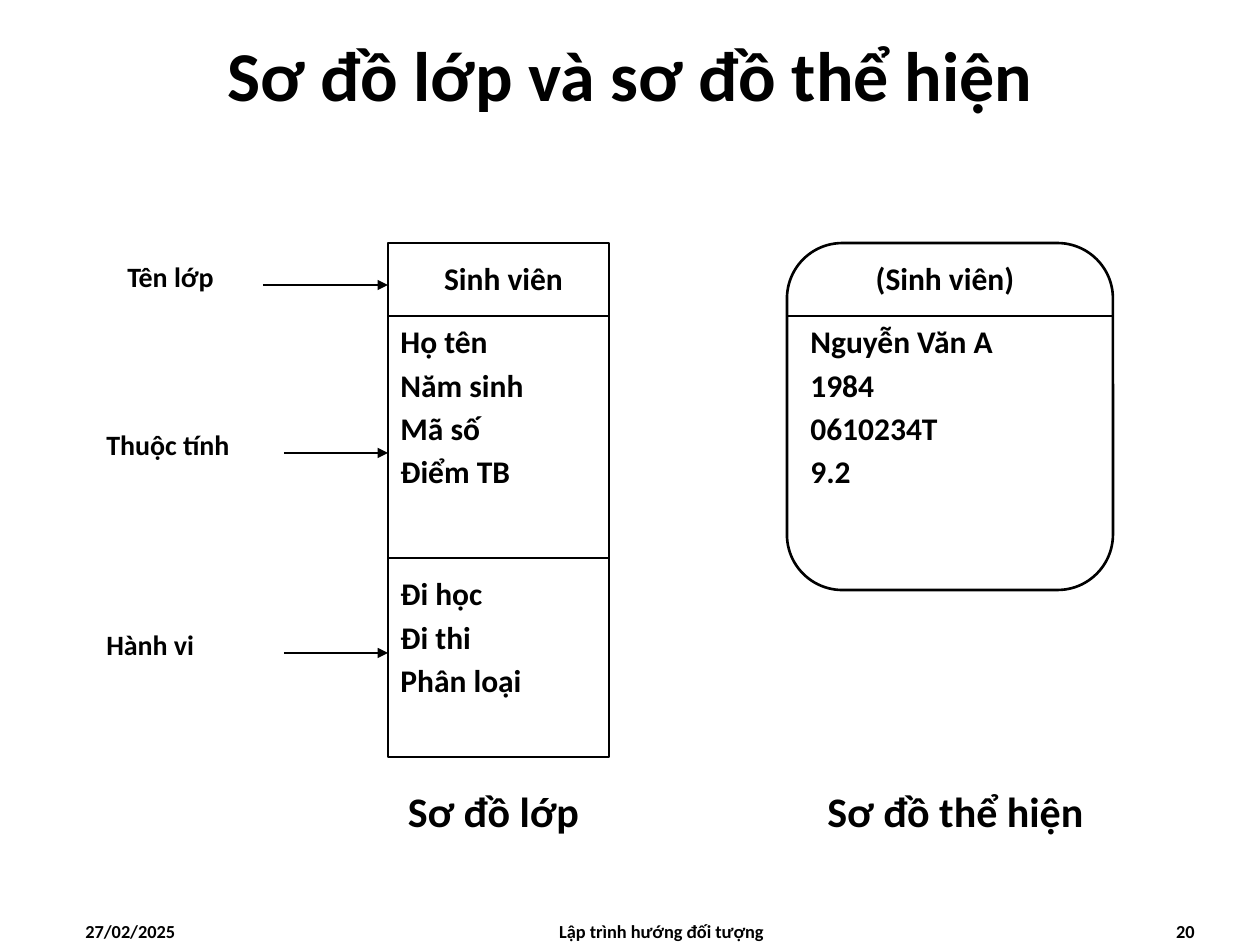
import pptx
import pptx.util
import pptx.dml.color
import pptx.enum.shapes
import pptx.enum.text
import pptx.oxml.ns
import lxml.etree

ALIGN = pptx.enum.text.PP_ALIGN
ANCHOR = pptx.enum.text.MSO_ANCHOR
SHAPE = pptx.enum.shapes.MSO_SHAPE

TITLE = "Sơ đồ lớp và sơ đồ thể hiện"
CLASS_ROWS = [
    {"label": "Tên lớp", "indent": 21, "lines": ["Sinh viên"],
     "height": 73, "pad": 10, "arrow": 285, "align": ALIGN.CENTER},
    {"label": "Thuộc tính", "indent": 0,
     "lines": ["Họ tên", "Năm sinh", "Mã số", "Điểm TB"],
     "height": 242, "pad": 0, "arrow": 453, "align": ALIGN.LEFT},
    {"label": "Hành vi", "indent": 0, "lines": ["Đi học", "Đi thi", "Phân loại"],
     "height": 199, "pad": 10, "arrow": 653, "align": ALIGN.LEFT},
]
INSTANCE_NAME = "(Sinh viên)"
INSTANCE_VALUES = ["Nguyễn Văn A", "1984", "0610234T", "9.2"]
CAPTIONS = [("Sơ đồ lớp", 336), ("Sơ đồ thể hiện", 798)]
FOOTERS = [
    ("27/02/2025", 73, 294, ALIGN.LEFT),
    ("Lập trình hướng đối tượng", 462, 399, ALIGN.CENTER),
    ("20", 914, 293, ALIGN.RIGHT),
]

THEME = {
    "ink": pptx.dml.color.RGBColor(0, 0, 0),
    "font": "Calibri",
    "title": 40, "caption": 24, "body": 18, "label": 16, "footer": 10.5,
    "line_gap": 3.2, "border": 1.5, "arrow": 0.75,
}

SLIDE_W, SLIDE_H = 1260, 945
DIAGRAM_TOP = 243
CLASS_X, CLASS_W, CLASS_TEXT_W = 388, 221, 231
INSTANCE_X, INSTANCE_W, INSTANCE_H = 787, 326, 347
INSTANCE_TEXT_X = 798
LABEL_X, LABEL_W, LABEL_RISE = 94, 190, 32
CAPTION_Y, CAPTION_W = 779, 315
FOOTER_H = 31


def px(length):
    return pptx.util.Emu(round(length * 914400 / 126))


def apply(target, values):
    for key, value in values.items():
        setattr(target, key, value)


def write(frame, lines, size, align=ALIGN.LEFT, anchor=ANCHOR.TOP):
    apply(frame, {"word_wrap": True, "vertical_anchor": anchor})
    for index, line in enumerate(lines):
        paragraph = frame.paragraphs[0] if index == 0 else frame.add_paragraph()
        gap = pptx.util.Pt(THEME["line_gap"] if index else 0)
        apply(paragraph, {"alignment": align, "space_before": gap})
        run = paragraph.add_run()
        run.text = line
        apply(run.font, {"name": THEME["font"], "size": pptx.util.Pt(THEME[size]), "bold": True})
        run.font.color.rgb = THEME["ink"]


def add_text(slide, lines, box, size, align=ALIGN.LEFT):
    write(slide.shapes.add_textbox(*map(px, box)).text_frame, lines, size, align)


def ink_line(line, width):
    line.color.rgb = THEME["ink"]
    line.width = pptx.util.Pt(THEME[width])


def add_frame(slide, kind, box):
    frame = slide.shapes.add_shape(kind, *map(px, box))
    frame.shadow.inherit = False
    frame.fill.background()
    ink_line(frame.line, "border")
    return frame


def add_line(slide, start, end, width, arrow=False):
    line = slide.shapes.add_connector(
        pptx.enum.shapes.MSO_CONNECTOR.STRAIGHT, *map(px, start + end))
    ink_line(line.line, width)
    qn = pptx.oxml.ns.qn
    properties = line._element.spPr
    if arrow:
        lxml.etree.SubElement(properties.find(qn("a:ln")), qn("a:tailEnd"), type="triangle")
    lxml.etree.SubElement(properties, qn("a:effectLst"))


def draw_class(slide):
    top = DIAGRAM_TOP
    for row in CLASS_ROWS:
        height, arrow_y = row["height"], row["arrow"]
        label_x = LABEL_X + row["indent"]
        add_frame(slide, SHAPE.RECTANGLE, (CLASS_X, top, CLASS_W, height))
        add_text(slide, row["lines"],
                 (CLASS_X, top + row["pad"], CLASS_TEXT_W, height - row["pad"]),
                 "body", row["align"])
        add_text(slide, [row["label"]], (label_x, arrow_y - LABEL_RISE, LABEL_W, 47), "label")
        add_line(slide, (LABEL_X + LABEL_W - row["indent"], arrow_y),
                 (CLASS_X, arrow_y), "arrow", arrow=True)
        top += height


def draw_instance(slide):
    header = CLASS_ROWS[0]
    divider = DIAGRAM_TOP + header["height"]
    right = INSTANCE_X + INSTANCE_W
    outline = add_frame(slide, SHAPE.ROUNDED_RECTANGLE,
                        (INSTANCE_X, DIAGRAM_TOP, INSTANCE_W, INSTANCE_H))
    outline.adjustments[0] = 0.17
    add_line(slide, (INSTANCE_X, divider), (right, divider), "border")
    add_text(slide, [INSTANCE_NAME],
             (INSTANCE_TEXT_X, DIAGRAM_TOP + header["pad"], 294, 51), "body", ALIGN.CENTER)
    add_text(slide, INSTANCE_VALUES, (INSTANCE_TEXT_X, divider, 315, 188), "body")


def main():
    deck = pptx.Presentation()
    apply(deck, {"slide_width": px(SLIDE_W), "slide_height": px(SLIDE_H)})
    slide = deck.slides.add_slide(deck.slide_layouts[5])
    title = slide.shapes.title
    apply(title, {"left": 0, "top": 0, "width": px(SLIDE_W), "height": px(147)})
    write(title.text_frame, [TITLE], "title", ALIGN.CENTER, ANCHOR.MIDDLE)
    draw_class(slide)
    draw_instance(slide)
    for caption, left in CAPTIONS:
        add_text(slide, [caption], (left, CAPTION_Y, CAPTION_W, 63), "caption", ALIGN.CENTER)
    for footer, left, width, align in FOOTERS:
        add_text(slide, [footer], (left, SLIDE_H - FOOTER_H, width, FOOTER_H), "footer", align)
    deck.save("out.pptx")


if __name__ == "__main__":
    main()
